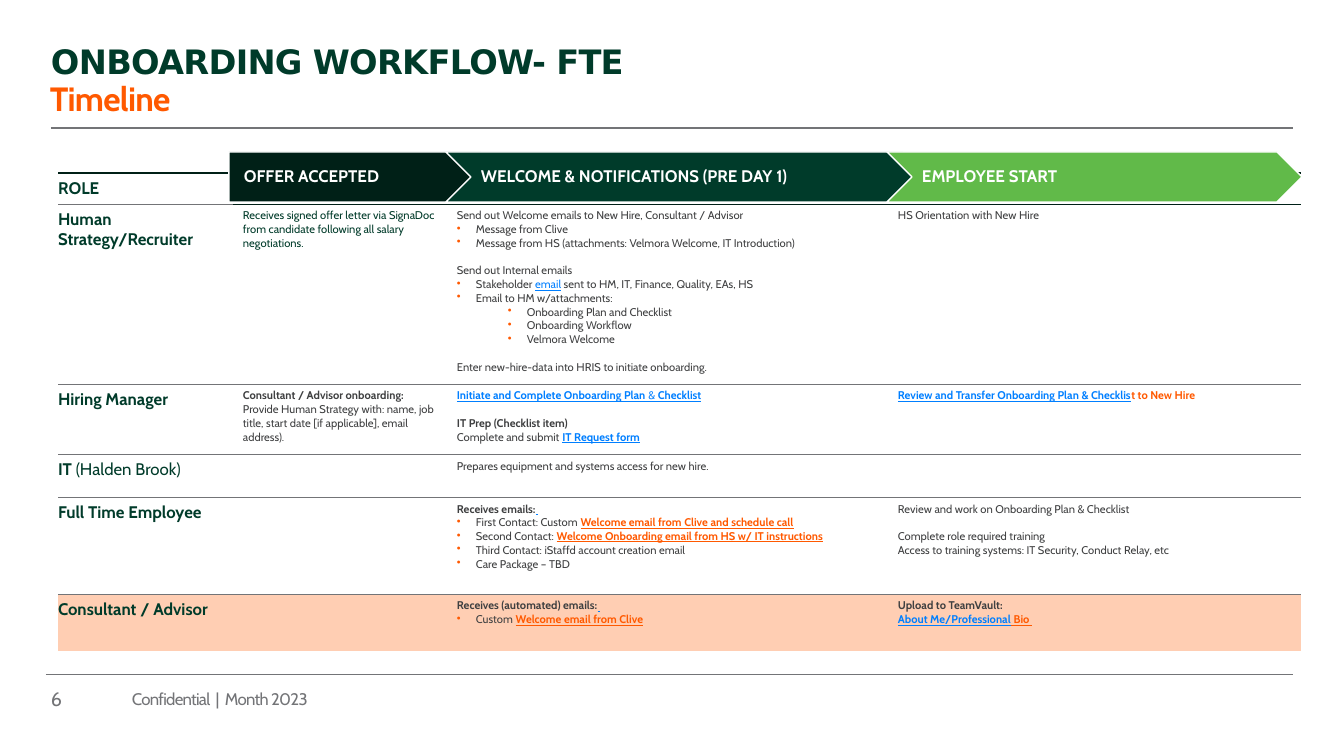
import lxml.etree
import pptx
import pptx.dml.color
import pptx.enum.shapes
import pptx.enum.text
import pptx.oxml.ns
import pptx.util

RGBColor = pptx.dml.color.RGBColor
GREEN = RGBColor(0x00, 0x3B, 0x2A)
DARK = RGBColor(0x00, 0x20, 0x17)
LIME = RGBColor(0x61, 0xBA, 0x49)
ORANGE = RGBColor(0xFF, 0x59, 0x00)
PEACH = RGBColor(0xFF, 0xCE, 0xB3)
BLUE = RGBColor(0x00, 0x7F, 0xFF)
GRAY = RGBColor(0x73, 0x74, 0x77)
TEXT = RGBColor(0x3F, 0x40, 0x41)
WHITE = RGBColor(0xFF, 0xFF, 0xFF)

WIDTH, HEIGHT = 1344, 756
SCALE = 12192000 / WIDTH
FONT = "Cabin"
ANCHOR = pptx.enum.text.MSO_ANCHOR
BULLET_INDENTS = {1: 19, 2: 70}
HANGING = 19
LINE_GAP = 9.8
COLUMNS = [175, 214, 441, 413]
ROWS = [31, 180, 70, 43, 97, 57]

STYLES = {
    "plain": (TEXT, False, False),
    "strong": (TEXT, True, False),
    "green": (GREEN, False, False),
    "role": (GREEN, True, False),
    "link": (BLUE, False, True),
    "strong link": (BLUE, True, True),
    "orange": (ORANGE, True, False),
    "orange link": (ORANGE, True, True),
}


def px(length):
    """Turn px into EMU."""
    return pptx.util.Emu(round(length * SCALE))


def line(*runs, level=0, gap=False):
    """Describe one paragraph; a plain string is a run in the plain style."""
    runs = [(run, "plain") if isinstance(run, str) else run for run in runs]
    return runs, level, gap


def role(*runs):
    """Describe a cell of the role column."""
    return [line(*runs)]


WORKFLOW = [
    [role(("ROLE", "role")), [], [], []],
    [
        role(("Human Strategy/Recruiter", "role")),
        [line(("Receives signed offer letter via SignaDoc from candidate "
               "following all salary negotiations.", "green"))],
        [line("Send out Welcome emails to New Hire, Consultant / Advisor"),
         line("Message from Clive", level=1),
         line("Message from HS (attachments: Velmora Welcome, IT Introduction)", level=1),
         line("Send out Internal emails", gap=True),
         line("Stakeholder ", ("email", "link"),
              " sent to HM, IT, Finance, Quality, EAs, HS", level=1),
         line("Email to HM w/attachments:", level=1),
         line("Onboarding Plan and Checklist", level=2),
         line("Onboarding Workflow", level=2),
         line("Velmora Welcome", level=2),
         line("Enter new-hire-data into HRIS to initiate onboarding.", gap=True)],
        [line("HS Orientation with New Hire")],
    ],
    [
        role(("Hiring Manager", "role")),
        [line(("Consultant / Advisor onboarding: ", "strong"),
              "Provide Human Strategy with: name, job title, start date "
              "[if applicable], email address).")],
        [line(("Initiate and Complete Onboarding Plan ", "strong link"),
              ("& ", "link"), ("Checklist", "strong link")),
         line(("IT Prep (Checklist item)", "strong"), gap=True),
         line("Complete and submit ", ("IT Request form", "strong link"))],
        [line(("Review and Transfer Onboarding Plan & Checklis", "strong link"),
              ("t to New Hire", "orange"))],
    ],
    [
        role(("IT ", "role"), ("(Halden Brook)", "green")),
        [],
        [line("Prepares equipment and systems access for new hire.")],
        [],
    ],
    [
        role(("Full Time Employee", "role")),
        [],
        [line(("Receives emails:", "strong"), (" ", "strong link")),
         line("First Contact: Custom ",
              ("Welcome email from Clive and schedule call", "orange link"), level=1),
         line("Second Contact: ",
              ("Welcome Onboarding email from HS w/ IT instructions", "orange link"), level=1),
         line("Third Contact: iStaffd account creation email", level=1),
         line("Care Package – TBD", level=1)],
        [line("Review and work on Onboarding Plan & Checklist"),
         line("Complete role required training", gap=True),
         line("Access to training systems: IT Security, Conduct Relay, etc")],
    ],
    [
        role(("Consultant / Advisor", "role")),
        [],
        [line(("Receives (automated) emails:", "strong"), (" ", "strong link")),
         line("Custom ", ("Welcome email from Clive", "orange link"), level=1)],
        [line(("Upload to TeamVault:", "strong")),
         line(("About Me/Professional", "strong link"), (" Bio ", "orange link"))],
    ],
]


def add_run(paragraph, text, size, color, bold=False, underline=False, font=FONT, spacing=0):
    """Add one formatted run; spacing is in hundredths of a point."""
    run = paragraph.add_run()
    run.text = text
    run.font.name, run.font.size = font, pptx.util.Pt(size)
    run.font.bold, run.font.underline = bold, underline
    run.font.color.rgb = color
    if spacing:
        run._r.get_or_add_rPr().set("spc", str(spacing))


def add_child(parent, tag, **attributes):
    """Append a DrawingML element."""
    return lxml.etree.SubElement(parent, pptx.oxml.ns.qn(tag), attributes)


def set_margins(frame, left, top, right, bottom):
    """Set the four insets of a text frame or cell."""
    frame.margin_left, frame.margin_top = px(left), px(top)
    frame.margin_right, frame.margin_bottom = px(right), px(bottom)


def fill_text(shape, box, text, size, color, anchor, **style):
    """Place a title or text box and write its single line."""
    shape.left, shape.top, shape.width, shape.height = map(px, box)
    frame = shape.text_frame
    frame.word_wrap = True
    frame.auto_size = pptx.enum.text.MSO_AUTO_SIZE.NONE
    frame.vertical_anchor = anchor
    set_margins(frame, 0, 5, 10, 5)
    paragraph = frame.paragraphs[0]
    paragraph.alignment = pptx.enum.text.PP_ALIGN.LEFT
    add_run(paragraph, text, size, color, spacing=-50, **style)


def add_rule(slide, left, right, y, weight):
    """Draw a horizontal gray rule."""
    rule = slide.shapes.add_connector(
        pptx.enum.shapes.MSO_CONNECTOR.STRAIGHT, px(left), px(y), px(right), px(y))
    rule.line.color.rgb, rule.line.width = GRAY, pptx.util.Pt(weight)
    add_child(rule._element.spPr, "a:effectLst")


def add_heading(slide, left, top, width):
    """Build the title, the subtitle and the rule below them."""
    fill_text(slide.shapes.title, (left, top, width, 59), "ONBOARDING WORKFLOW- FTE",
              24, GREEN, ANCHOR.TOP, bold=True, font="DejaVu Sans")
    subtitle = slide.shapes.add_textbox(0, 0, 0, 0)
    fill_text(subtitle, (left - 1, top + 37, width, 51), "Timeline", 24, ORANGE,
              ANCHOR.TOP, bold=True)
    add_rule(slide, left, left + width, top + 92, 1)


def add_footer(slide, left, top, width):
    """Build the footer rule, page number and footer text."""
    add_rule(slide, left, left + width, top, 0.25)
    for offset, box_width, text, size in ((5, 50, "6", 14),
                                          (86, 1111, "Confidential  |  Month 2023", 12)):
        box = slide.shapes.add_textbox(0, 0, 0, 0)
        fill_text(box, (left + offset, top, box_width, 50), text, size, GRAY, ANCHOR.MIDDLE)


def set_borders(cell, top, bottom):
    """Give a cell its top and bottom lines, each a (color, points) pair or None."""
    properties = cell._tc.get_or_add_tcPr()
    sides = (("a:lnL", None), ("a:lnR", None), ("a:lnT", top), ("a:lnB", bottom))
    for index, (tag, border) in enumerate(sides):
        edge = add_child(properties, tag)
        if border:
            color, weight = border
            edge.set("w", str(pptx.util.Pt(weight)))
            add_child(add_child(edge, "a:solidFill"), "a:srgbClr", val=str(color))
        else:
            add_child(edge, "a:noFill")
        properties.insert(index, edge)


def fill_cell(cell, lines, size):
    """Write the paragraphs of one table cell."""
    frame = cell.text_frame
    if not lines:
        add_child(frame.paragraphs[0]._p, "a:endParaRPr", sz=str(size * 100))
    for index, (runs, level, gap) in enumerate(lines):
        paragraph = frame.add_paragraph() if index else frame.paragraphs[0]
        if gap:
            paragraph.space_before = pptx.util.Pt(LINE_GAP)
        if level:
            properties = paragraph._p.get_or_add_pPr()
            properties.set("marL", str(px(BULLET_INDENTS[level])))
            properties.set("indent", str(-px(HANGING)))
            add_child(add_child(properties, "a:buClr"), "a:srgbClr", val=str(ORANGE))
            add_child(properties, "a:buChar", char="•")
        for text, style in runs:
            add_run(paragraph, text, size, *STYLES[style])


def add_workflow_table(slide, left, top):
    """Build the table of roles and their tasks."""
    frame = slide.shapes.add_table(len(ROWS), len(COLUMNS), px(left), px(top),
                                   px(sum(COLUMNS)), px(sum(ROWS)))
    table = frame.table
    table.first_row = table.horz_banding = False
    for column, width in zip(table.columns, COLUMNS):
        column.width = px(width)
    last = len(ROWS) - 1
    for y, cells in enumerate(WORKFLOW):
        table.rows[y].height = px(ROWS[y])
        for x, lines in enumerate(cells):
            cell = table.cell(y, x)
            set_margins(cell, 10 if x else 0, 5, 10, 10 if y else 5)
            fill_cell(cell, lines, 8 if x else 12)
            if y == last:
                cell.fill.solid()
                cell.fill.fore_color.rgb = PEACH
            else:
                cell.fill.background()
            header_line = (DARK if x else GRAY, 0.75)
            top_line = ((DARK, 1), header_line)[y] if y < 2 else (GRAY, 0.75)
            bottom_line = header_line if y == 0 else (GRAY, 0.75)
            set_borders(cell, top_line, None if y == last else bottom_line)


def add_phases(slide, left, top, height):
    """Build the row of phase arrows."""
    kinds = pptx.enum.shapes.MSO_SHAPE
    for offset, width, kind, color, inset, text in (
            (0, 277, kinds.PENTAGON, DARK, 15, "OFFER ACCEPTED"),
            (217, 482, kinds.CHEVRON, GREEN, 10, "WELCOME & NOTIFICATIONS (PRE DAY 1)"),
            (658, 415, kinds.CHEVRON, LIME, 10, "EMPLOYEE START")):
        arrow = slide.shapes.add_shape(kind, px(left + offset), px(top), px(width), px(height))
        arrow.shadow.inherit = False
        arrow.fill.solid()
        arrow.fill.fore_color.rgb = color
        arrow.line.color.rgb, arrow.line.width = WHITE, pptx.util.Pt(1)
        frame = arrow.text_frame
        frame.word_wrap = True
        frame.vertical_anchor = ANCHOR.MIDDLE
        set_margins(frame, inset, 2, 2, 2)
        paragraph = frame.paragraphs[0]
        paragraph.alignment = pptx.enum.text.PP_ALIGN.LEFT
        paragraph.line_spacing = 0.9
        add_run(paragraph, text, 12, WHITE, bold=True)


def main():
    """Build and save the onboarding slide."""
    presentation = pptx.Presentation()
    presentation.slide_width, presentation.slide_height = px(WIDTH), px(HEIGHT)
    slide = presentation.slides.add_slide(presentation.slide_layouts[5])
    add_heading(slide, 51, 36, 1242)
    add_footer(slide, 46, 674, 1247)
    add_workflow_table(slide, 58, 173)
    add_phases(slide, 229, 152, 50)
    presentation.save("out.pptx")


if __name__ == "__main__":
    main()
